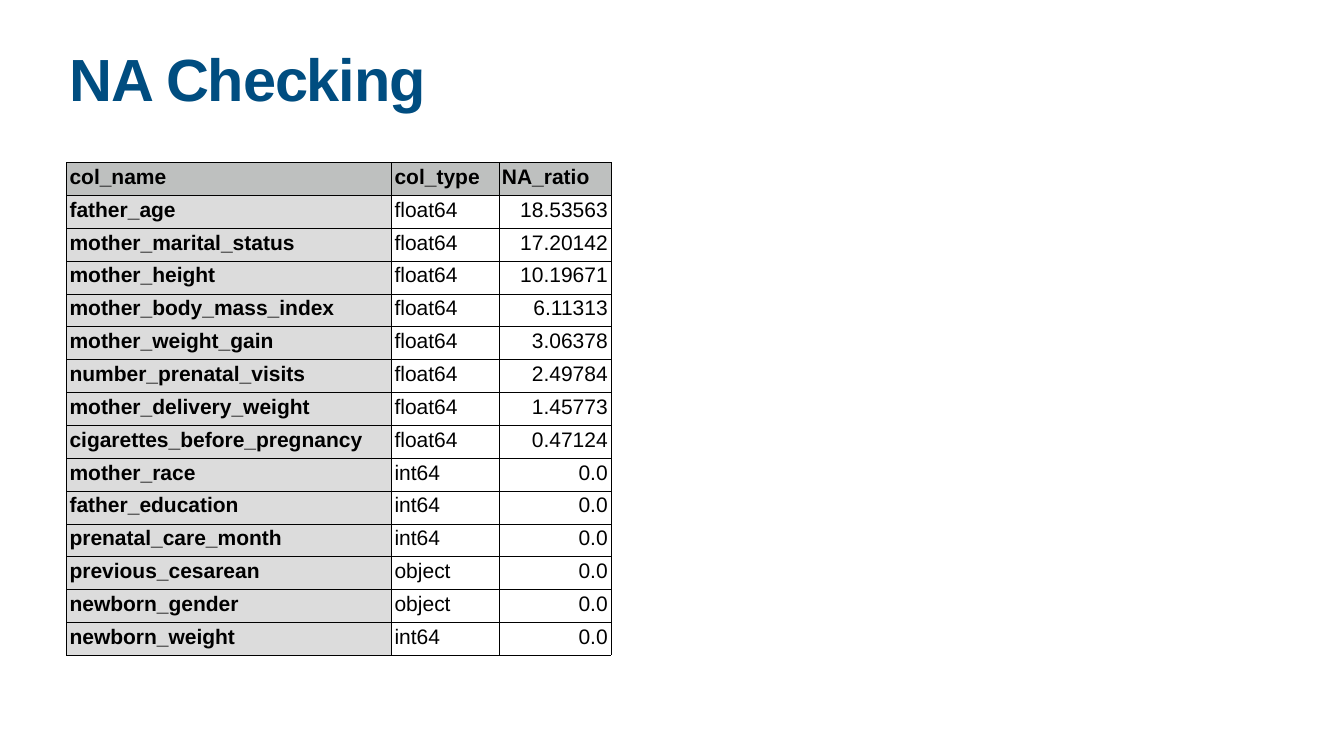
from lxml.etree import SubElement
from pptx import Presentation
from pptx.dml.color import RGBColor
from pptx.enum.text import MSO_ANCHOR as Anchor, PP_ALIGN as Align
from pptx.oxml.ns import qn
from pptx.util import Inches, Pt

COLORS = {"title": "004D80", "ink": "000000", "header": "BEC0BF", "name": "DCDCDC"}
FONT = "Arial"
INSET = Inches(0.06)
THIN, THICK = 0.35, 0.75
COLUMN_WIDTHS = (6.45, 2.13, 2.22)
HEADINGS = ("col_name", "col_type", "NA_ratio")
NA_RATIOS = (
    ("father_age", "float64", "18.53563"),
    ("mother_marital_status", "float64", "17.20142"),
    ("mother_height", "float64", "10.19671"),
    ("mother_body_mass_index", "float64", "6.11313"),
    ("mother_weight_gain", "float64", "3.06378"),
    ("number_prenatal_visits", "float64", "2.49784"),
    ("mother_delivery_weight", "float64", "1.45773"),
    ("cigarettes_before_pregnancy", "float64", "0.47124"),
    ("mother_race", "int64", "0.0"),
    ("father_education", "int64", "0.0"),
    ("prenatal_care_month", "int64", "0.0"),
    ("previous_cesarean", "object", "0.0"),
    ("newborn_gender", "object", "0.0"),
    ("newborn_weight", "int64", "0.0"),
)


def write_text(frame, text, size=30, color="ink", bold=False, align=Align.LEFT,
               line_spacing=None, tracking=None):
    """Write one formatted paragraph into a text frame."""
    paragraph = frame.paragraphs[0]
    paragraph.alignment = align
    paragraph.line_spacing = line_spacing
    run = paragraph.add_run()
    run.text = text
    run.font.name = FONT
    run.font.size = Pt(size)
    run.font.bold = bold
    run.font.color.rgb = RGBColor.from_string(COLORS[color])
    if tracking is not None:
        run.font._element.set("spc", str(round(tracking * 100)))


def set_insets(holder):
    """Give a cell or text frame equal margins on all sides."""
    holder.margin_left = holder.margin_right = INSET
    holder.margin_top = holder.margin_bottom = INSET


def add_borders(cell, **widths):
    """Draw cell borders whose widths in points are keyed by side letter."""
    properties = cell._tc.get_or_add_tcPr()
    for side, width in widths.items():
        line = SubElement(properties, qn(f"a:ln{side}"), w=str(Pt(width)))
        fill = SubElement(line, qn("a:solidFill"))
        SubElement(fill, qn("a:srgbClr"), val=COLORS["ink"])


def add_title(slide, left, top, width, height):
    """Place the slide title in the given box."""
    title = slide.shapes.add_textbox(
        Inches(left), Inches(top), Inches(width), Inches(height))
    frame = title.text_frame
    frame.word_wrap = True
    frame.vertical_anchor = Anchor.TOP
    set_insets(frame)
    write_text(frame, "NA Checking", size=85, color="title", bold=True,
               line_spacing=0.8, tracking=-1.7)


def fill_cell(cell, text, row, column):
    """Format one cell according to its place in the table."""
    is_header, is_name = row == 0, column == 0
    set_insets(cell)
    cell.vertical_anchor = Anchor.TOP
    add_borders(
        cell,
        L=THICK if column == 1 and not is_header else THIN,
        R=THICK if is_name and not is_header else THIN,
        T=THICK if row == 1 else THIN,
        B=THICK if is_header else THIN,
    )
    if is_header or is_name:
        cell.fill.solid()
        shade = COLORS["header" if is_header else "name"]
        cell.fill.fore_color.rgb = RGBColor.from_string(shade)
    else:
        cell.fill.background()
    is_ratio = column == 2 and not is_header
    write_text(cell.text_frame, text, bold=is_header or is_name,
               align=Align.RIGHT if is_ratio else Align.LEFT)


def add_ratio_table(slide, left, top, width, height):
    """Place the table of missing-value ratios in the given box."""
    records = (HEADINGS, *NA_RATIOS)
    table = slide.shapes.add_table(
        len(records), len(HEADINGS),
        Inches(left), Inches(top), Inches(width), Inches(height)).table
    table.horz_banding = False
    for column, share in zip(table.columns, COLUMN_WIDTHS):
        column.width = Inches(width * share / sum(COLUMN_WIDTHS))
    for row, record in enumerate(records):
        for column, text in enumerate(record):
            fill_cell(table.cell(row, column), text, row, column)


def main():
    """Build and save the slide."""
    deck = Presentation()
    deck.slide_width, deck.slide_height = Inches(26.67), Inches(15)
    slide = deck.slides.add_slide(deck.slide_layouts[6])
    add_title(slide, 1.32, 1.04, 24.03, 1.57)
    add_ratio_table(slide, 1.32, 3.22, 10.8, 9.78)
    deck.save("out.pptx")


if __name__ == "__main__":
    main()
